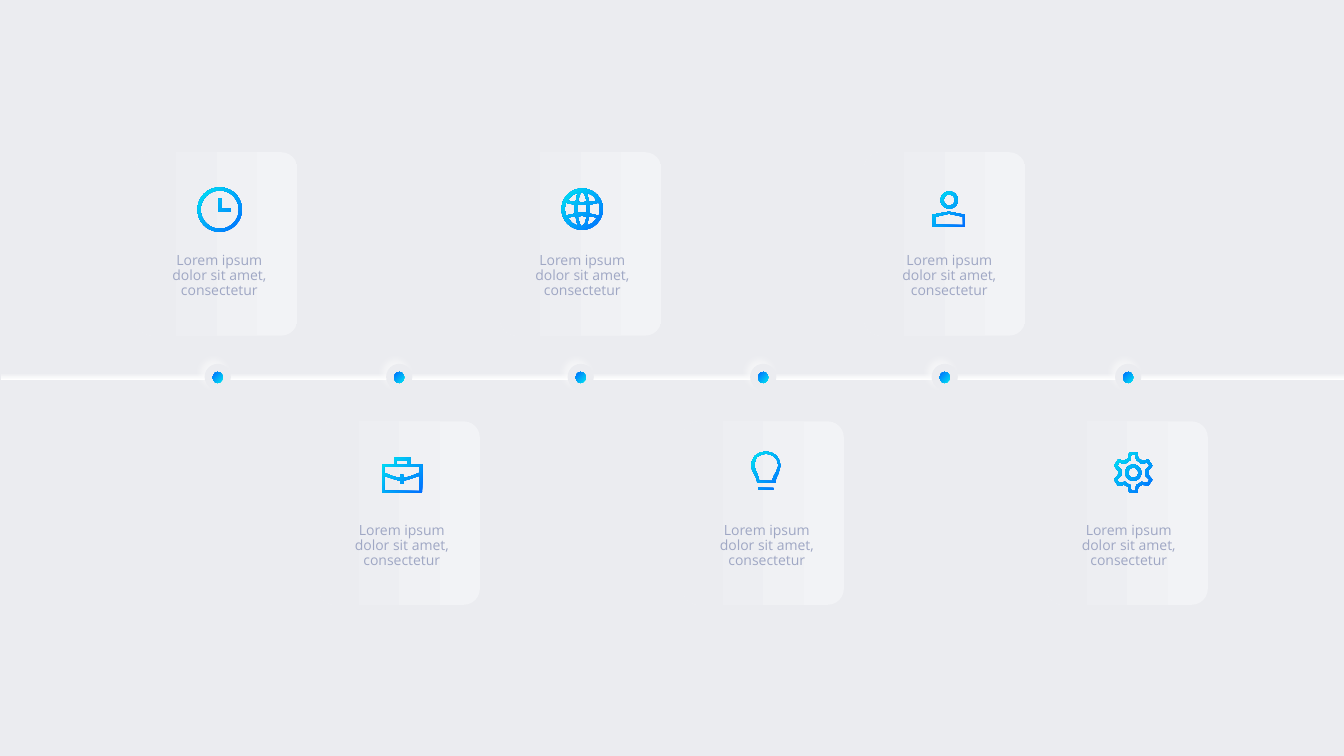
from dataclasses import dataclass
from math import cos, pi, sin
from typing import Any

from lxml.etree import SubElement
from pptx import Presentation
from pptx.dml.color import RGBColor
from pptx.enum.shapes import MSO_SHAPE
from pptx.enum.text import MSO_AUTO_SIZE, PP_ALIGN
from pptx.oxml.ns import qn
from pptx.shapes.autoshape import Shape
from pptx.shapes.shapetree import GroupShapes, SlideShapes
from pptx.util import Emu, Pt

Contour = list[tuple[float, float]]
EMU_PER_PX = 9144
CAPTION = "Lorem ipsum dolor sit amet, consectetur"


@dataclass(frozen=True)
class Gradient:
    start: str
    end: str
    angle: int


@dataclass(frozen=True)
class Theme:
    background: str = "EBECF0"
    caption: str = "9FA7C4"
    glow: str = "FFFFFF"
    font: str = "Open Sans"
    caption_size: int = 10
    rail: Gradient = Gradient("FFFFFF", "EBECF0", 90)
    card: Gradient = Gradient("F2F3F6", "EBECF0", 180)
    dot: Gradient = Gradient("00E6F2", "006EFF", 135)
    icon: Gradient = Gradient("006EFF", "00E6F2", 135)


@dataclass(frozen=True)
class Icon:
    left: int
    top: int
    contours: list[Contour]


@dataclass(frozen=True)
class Milestone:
    marker_left: int
    caption_left: int
    icon: Icon


THEME = Theme()


def px(length: float) -> Emu:
    return Emu(round(length * EMU_PER_PX))


def apply_format(target: Any, values: dict[str, Any]) -> None:
    for attribute, value in values.items():
        setattr(target, attribute, value)


def circle(left: int, top: int, size: int) -> Contour:
    radius = size / 2
    angles = [2 * pi * step / 48 for step in range(48)]
    return [(left + radius + radius * cos(a), top + radius + radius * sin(a)) for a in angles]


def mirror(contour: Contour, size: int, across: bool, down: bool) -> Contour:
    return [(size - x if across else x, size - y if down else y) for x, y in contour]


def globe() -> list[Contour]:
    size = 41
    corner: Contour = [(25, 37), (26, 33), (27, 28), (31, 28), (35, 29), (31, 34)]
    side: Contour = [(38, 20), (37, 27), (28, 25), (28, 16), (37, 14)]
    pole: Contour = [(16, 28), (20, 27), (25, 28), (23, 35), (20, 38), (18, 35)]
    center: Contour = [(16, 24), (16, 16), (25, 16), (25, 24)]
    flips = (False, True)
    return [
        circle(0, 0, size),
        center,
        *(mirror(corner, size, across, down) for across in flips for down in flips),
        *(mirror(side, size, across, False) for across in flips),
        *(mirror(pole, size, False, down) for down in flips),
    ]


CLOCK = Icon(196, 186, [
    circle(0, 0, 44), circle(3, 3, 38),
    [(33, 24), (21, 24), (21, 11), (24, 11), (24, 21), (33, 21)],
])
BRIEFCASE = Icon(379, 454, [
    [(40, 7), (28, 7), (28, 0), (12, 0), (12, 7), (0, 7), (0, 35), (40, 35)],
    [(14, 3), (25, 3), (25, 7), (14, 7)],
    [(2, 9), (37, 9), (37, 15), (27, 19), (21, 20), (21, 17), (18, 17), (18, 20), (12, 19), (2, 15)],
    [(2, 33), (2, 18), (11, 21), (18, 23), (18, 26), (21, 26), (21, 23), (28, 21), (37, 18), (37, 33)],
])
GLOBE = Icon(557, 187, globe())
BULB = Icon(745, 448, [
    [(22, 38), (7, 38), (7, 36), (22, 36)],
    [(24, 31), (6, 31), (6, 30), (5, 26), (3, 22), (1, 18), (0, 14), (1, 9), (4, 4), (9, 1), (15, 0),
     (20, 1), (25, 4), (28, 9), (29, 14), (28, 18), (27, 22), (25, 26), (24, 30)],
    [(8, 29), (21, 29), (22, 25), (25, 20), (26, 17), (27, 14), (26, 9), (23, 5), (19, 3), (15, 2),
     (10, 3), (6, 5), (4, 9), (3, 14), (4, 17), (5, 20), (7, 25)],
])
PERSON = Icon(925, 190, [
    [(32, 23), (16, 20), (0, 23), (0, 35), (32, 35)],
    [(30, 33), (3, 33), (3, 25), (16, 22), (30, 25)],
    circle(8, 0, 17), circle(11, 3, 11),
])
GEAR = Icon(1105, 449, [
    [(4, 33), (10, 32), (14, 34), (15, 40), (23, 40), (24, 34), (28, 32), (34, 33), (38, 27), (34, 22),
     (34, 18), (38, 13), (34, 7), (28, 8), (24, 6), (23, 0), (15, 0), (14, 6), (10, 8), (4, 7),
     (0, 13), (4, 18), (4, 22), (0, 27)],
    [(7, 23), (7, 17), (3, 13), (5, 10), (11, 11), (15, 8), (16, 8), (17, 2), (21, 2), (22, 8),
     (23, 8), (27, 11), (33, 10), (35, 13), (31, 17), (31, 23), (35, 27), (33, 30), (27, 29), (23, 32),
     (22, 32), (21, 38), (17, 38), (16, 32), (15, 32), (11, 29), (5, 30), (3, 27)],
    circle(11, 12, 16), circle(14, 15, 10),
])

MILESTONES = [
    Milestone(203, 159, CLOCK),
    Milestone(383, 340, BRIEFCASE),
    Milestone(563, 519, GLOBE),
    Milestone(744, 702, BULB),
    Milestone(924, 883, PERSON),
    Milestone(1106, 1061, GEAR),
]


def paint(shape: Shape, paint_fill: Gradient | str) -> None:
    shape.shadow.inherit = False
    shape.line.fill.background()
    if isinstance(paint_fill, str):
        shape.fill.solid()
        shape.fill.fore_color.rgb = RGBColor.from_string(paint_fill)
        return
    shape.fill.gradient()
    shape.fill.gradient_angle = paint_fill.angle
    for stop, color in zip(shape.fill.gradient_stops, (paint_fill.start, paint_fill.end)):
        stop.color.rgb = RGBColor.from_string(color)


def draw_preset(shapes: SlideShapes | GroupShapes, preset: MSO_SHAPE,
                box: tuple[int, int, int, int], paint_fill: Gradient | str) -> Shape:
    shape = shapes.add_shape(preset, *map(px, box))
    paint(shape, paint_fill)
    return shape


def draw_card(shapes: SlideShapes, index: int) -> None:
    left = round(135 + 180.6 * index)
    top = 418 if index % 2 else 151
    card = draw_preset(shapes, MSO_SHAPE.ROUNDED_RECTANGLE, (left, top, 160, 182), THEME.card)
    card.adjustments[0] = 0.1


def draw_marker(shapes: SlideShapes, left: int) -> None:
    marker = shapes.add_group_shape().shapes
    hub = draw_preset(marker, MSO_SHAPE.OVAL, (left, 361, 26, 26), THEME.background)
    effects = hub.element.spPr.find(qn("a:effectLst"))
    glow = SubElement(effects, qn("a:outerShdw"), blurRad=str(Pt(5)), dist=str(Pt(4)),
                      dir="13500000", algn="br", rotWithShape="0")
    tint = SubElement(glow, qn("a:srgbClr"), val=THEME.glow)
    SubElement(tint, qn("a:alpha"), val="56000")
    draw_preset(marker, MSO_SHAPE.OVAL, (left + 8, 369, 10, 11), THEME.dot)


def draw_icon(shapes: SlideShapes, icon: Icon) -> None:
    outlines = [[(px(icon.left + x), px(icon.top + y)) for x, y in contour] for contour in icon.contours]
    builder = shapes.build_freeform(*outlines[0][0], scale=1.0)
    for outline in outlines:
        if outline is not outlines[0]:
            builder.move_to(*outline[0])
        builder.add_line_segments(outline[1:], close=True)
    paint(builder.convert_to_shape(), THEME.icon)


def draw_caption(shapes: SlideShapes, left: int, index: int) -> None:
    top = 514 if index % 2 else 246
    frame = shapes.add_textbox(px(left), px(top), px(117), px(61)).text_frame
    apply_format(frame, {"word_wrap": True, "auto_size": MSO_AUTO_SIZE.SHAPE_TO_FIT_TEXT})
    paragraph = frame.paragraphs[0]
    apply_format(paragraph, {"text": CAPTION, "alignment": PP_ALIGN.CENTER, "line_spacing": 0.9})
    font = paragraph.runs[0].font
    apply_format(font, {"name": THEME.font, "size": Pt(THEME.caption_size)})
    font.color.rgb = RGBColor.from_string(THEME.caption)


def main() -> None:
    presentation = Presentation()
    apply_format(presentation, {"slide_width": px(1333), "slide_height": px(750)})
    slide = presentation.slides.add_slide(presentation.slide_layouts[6])
    slide.background.fill.solid()
    slide.background.fill.fore_color.rgb = RGBColor.from_string(THEME.background)
    shapes = slide.shapes
    draw_preset(shapes, MSO_SHAPE.RECTANGLE, (1, 370, 1332, 7), THEME.rail)
    for index in range(len(MILESTONES)):
        draw_card(shapes, index)
    for index, milestone in enumerate(MILESTONES):
        draw_marker(shapes, milestone.marker_left)
        draw_icon(shapes, milestone.icon)
        draw_caption(shapes, milestone.caption_left, index)
    presentation.save("out.pptx")


if __name__ == "__main__":
    main()
